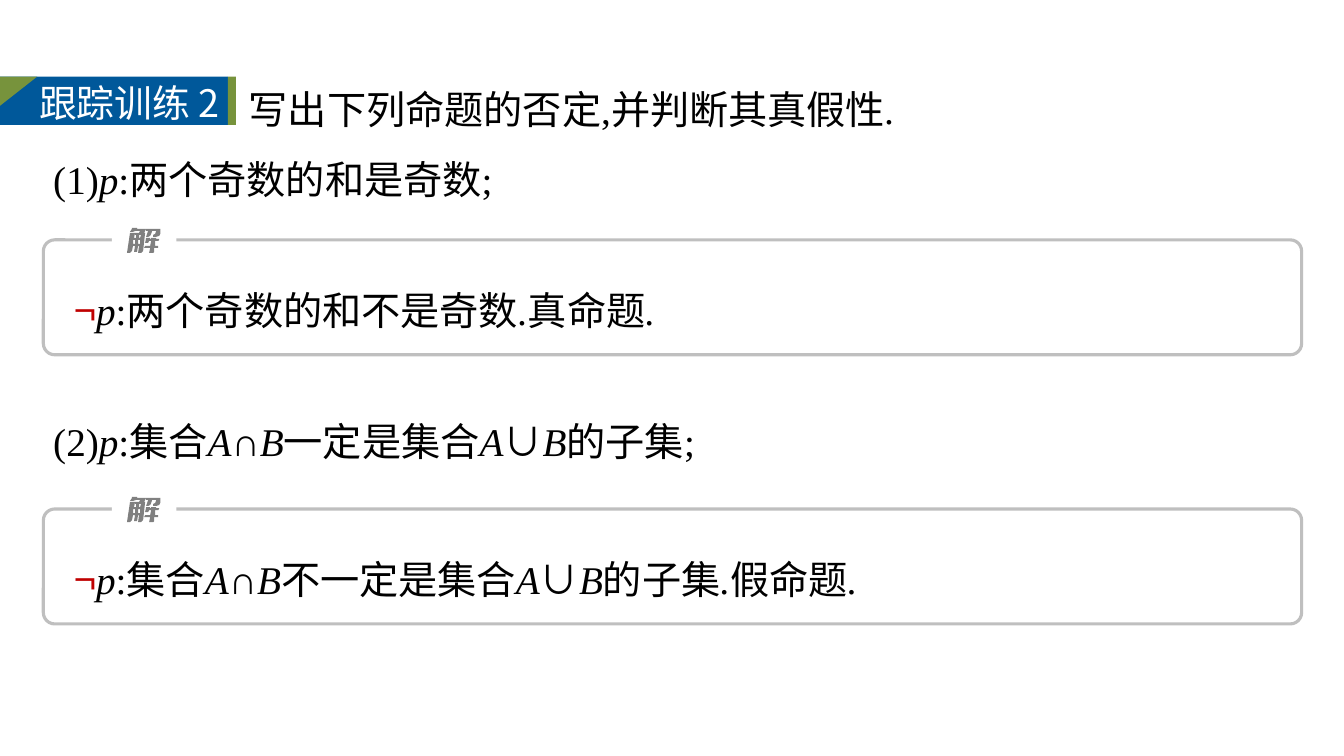
from dataclasses import dataclass

from pptx import Presentation
from pptx.dml.color import RGBColor
from pptx.enum.shapes import MSO_SHAPE
from pptx.enum.text import MSO_AUTO_SIZE
from pptx.oxml.ns import qn
from pptx.util import Inches, Pt
from lxml import etree

RECTANGLE = MSO_SHAPE.RECTANGLE
TRIANGLE = MSO_SHAPE.RIGHT_TRIANGLE
ROUNDED = MSO_SHAPE.ROUNDED_RECTANGLE
GROW = MSO_AUTO_SIZE.SHAPE_TO_FIT_TEXT


@dataclass(frozen=True)
class Theme:
    blue: str = "00589A"
    green: str = "77933C"
    frame: str = "BFBFBF"
    glyph: str = "808080"
    red: str = "C00000"
    black: str = "000000"
    white: str = "FFFFFF"
    body_size: int = 28
    tag_size: int = 27
    frame_width: float = 2.25
    serif: str = "Times New Roman"
    sans: str = "Noto Sans CJK SC"


THEME = Theme()

# Run styles: font, colour, italic
PLAIN = (THEME.serif, THEME.black, False)
ITALIC = (THEME.serif, THEME.black, True)
SYMBOL = (THEME.sans, THEME.black, False)
NEGATION = (THEME.sans, THEME.red, False)
TAG = (THEME.sans, THEME.white, False)

A_CAP_B = [("A", ITALIC), ("∩", PLAIN), ("B", ITALIC)]
A_CUP_B = [("A", ITALIC), ("∪", SYMBOL), ("B", ITALIC)]
NOT_P = [("¬", NEGATION), ("p", ITALIC)]
STOP = (".", ITALIC)

TASK = [("写出下列命题的否定,并判断其真假性", PLAIN), STOP]
QUESTION_1 = [("(1)", PLAIN), ("p", ITALIC), (":两个奇数的和是奇数;", PLAIN)]
QUESTION_2 = [("(2)", PLAIN), ("p", ITALIC), (":集合", PLAIN), *A_CAP_B,
              ("一定是集合", PLAIN), *A_CUP_B, ("的子集;", PLAIN)]
ANSWER_1 = [*NOT_P, (":两个奇数的和不是奇数", PLAIN), STOP, ("真命题", PLAIN), STOP]
ANSWER_2 = [*NOT_P, (":集合", PLAIN), *A_CAP_B, ("不一定是集合", PLAIN), *A_CUP_B,
            ("的子集", PLAIN), STOP, ("假命题", PLAIN), STOP]

# Outlines of the sign 解, in hundredths of an inch from its corner
SIGN_CONTOURS = [
    [(11, 12), (11, 16), (13, 16), (13, 12)],
    [(6, 12), (6, 16), (8, 16), (8, 12)],
    [(25, 10), (29, 10), (29, 11), (32, 11), (32, 12), (31, 13), (28, 13), (28, 18),
     (31, 18), (31, 20), (27, 20), (27, 24), (26, 25), (22, 25), (23, 20), (17, 20),
     (18, 18), (23, 18), (24, 13), (22, 13), (21, 15), (18, 15), (19, 10), (23, 10),
     (23, 11), (24, 11), (24, 10)],
    [(12, 7), (12, 10), (13, 10), (14, 7)],
    [(20, 1), (33, 1), (33, 6), (32, 8), (29, 9), (26, 9), (26, 7), (28, 6), (29, 3),
     (25, 3), (24, 6), (23, 8), (21, 9), (19, 9), (21, 3), (19, 3), (19, 1)],
    [(5, 0), (10, 0), (10, 1), (19, 1), (17, 5), (18, 5), (16, 23), (14, 25), (11, 25),
     (12, 18), (11, 18), (10, 24), (7, 24), (8, 18), (6, 18), (5, 23), (3, 25), (0, 25),
     (3, 5), (8, 5), (7, 10), (9, 10), (9, 7), (8, 7), (8, 5), (12, 5), (13, 3), (9, 3),
     (6, 4), (3, 4), (5, 1)],
]


def color(value):
    return RGBColor.from_string(value)


def fill_shape(shape, fill):
    shape.shadow.inherit = False
    shape.fill.solid()
    shape.fill.fore_color.rgb = color(fill)
    shape.line.fill.background()


def add_block(shapes, kind, left, top, width, height, fill):
    shape = shapes.add_shape(kind, Inches(left), Inches(top), Inches(width), Inches(height))
    fill_shape(shape, fill)
    return shape


def add_text(shapes, left, top, width, height, lines, size, spacing=None, first_indent=0):
    box = shapes.add_textbox(Inches(left), Inches(top), Inches(width), Inches(height))
    frame = box.text_frame
    frame.word_wrap = True
    frame.auto_size = GROW
    for index, pieces in enumerate(lines):
        paragraph = frame.add_paragraph() if index else frame.paragraphs[0]
        if spacing:
            paragraph.line_spacing = spacing
        if first_indent and index == 0:
            paragraph._p.get_or_add_pPr().set("indent", str(Inches(first_indent)))
        for text, (font_name, font_color, italic) in pieces:
            run = paragraph.add_run()
            run.text = text
            run.font.name = font_name
            run.font.size = Pt(size)
            run.font.italic = italic
            run.font.color.rgb = color(font_color)
            # East Asian typeface
            east_asian = etree.SubElement(run._r.get_or_add_rPr(), qn("a:ea"))
            east_asian.set("typeface", THEME.sans)


def add_body(shapes, left, top, width, height, lines, first_indent=0):
    add_text(shapes, left, top, width, height, lines, THEME.body_size, 1.5, first_indent)


def add_tag(slide, left, top, width, height):
    """Blue heading tag with green corner and end bar."""
    shapes = slide.shapes.add_group_shape().shapes
    add_block(shapes, RECTANGLE, left, top, width, height, THEME.blue)
    corner = add_block(shapes, TRIANGLE, left, top, 0.37, 0.29, THEME.green)
    corner._element.spPr.find(qn("a:xfrm")).set("flipV", "1")
    add_text(shapes, left + 0.29, top - 0.02, 2.13, 0.56, [[("跟踪训练 2", TAG)]],
             THEME.tag_size)
    add_block(shapes, RECTANGLE, left + width, top, 0.08, height, THEME.green)


def add_sign(shapes, left, top):
    """The sign 解 as one outline."""
    builder = None
    for start, *others in SIGN_CONTOURS:
        if builder is None:
            builder = shapes.build_freeform(*start, scale=Inches(0.01))
        else:
            builder.move_to(*start)
        builder.add_line_segments(others, close=True)
    fill_shape(builder.convert_to_shape(Inches(left), Inches(top)), THEME.glyph)


def add_answer(slide, left, top, width, height, pieces):
    """Answer text in a rounded frame whose top edge carries the sign."""
    add_body(slide.shapes, left + 0.21, top + 0.18, width - 0.42, 0.81, [pieces])
    shapes = slide.shapes.add_group_shape().shapes
    frame = shapes.add_shape(ROUNDED, Inches(left), Inches(top), Inches(width), Inches(height))
    frame.adjustments[0] = 0.099
    frame.shadow.inherit = False
    frame.fill.background()
    frame.line.color.rgb = color(THEME.frame)
    frame.line.width = Pt(THEME.frame_width)
    add_block(shapes, RECTANGLE, left + 0.68, top - 0.12, 0.64, 0.24, THEME.white)
    add_sign(shapes, left + 0.83, top - 0.12)


def main():
    presentation = Presentation()
    presentation.slide_width = Inches(13.33)
    presentation.slide_height = Inches(7.5)
    slide = presentation.slides.add_slide(presentation.slide_layouts[6])

    # Task and first proposition
    left = 0.43
    add_body(slide.shapes, left, 0.56, 12.46, 1.43, [TASK, QUESTION_1], first_indent=1.94)
    add_tag(slide, 0, 0.76, 2.26, 0.48)
    add_answer(slide, left, 2.38, 12.48, 1.14, ANSWER_1)

    # Second proposition
    add_body(slide.shapes, left, 3.86, 12.46, 0.73, [QUESTION_2])
    add_answer(slide, left, 5.05, 12.48, 1.14, ANSWER_2)

    presentation.save("out.pptx")


if __name__ == "__main__":
    main()
